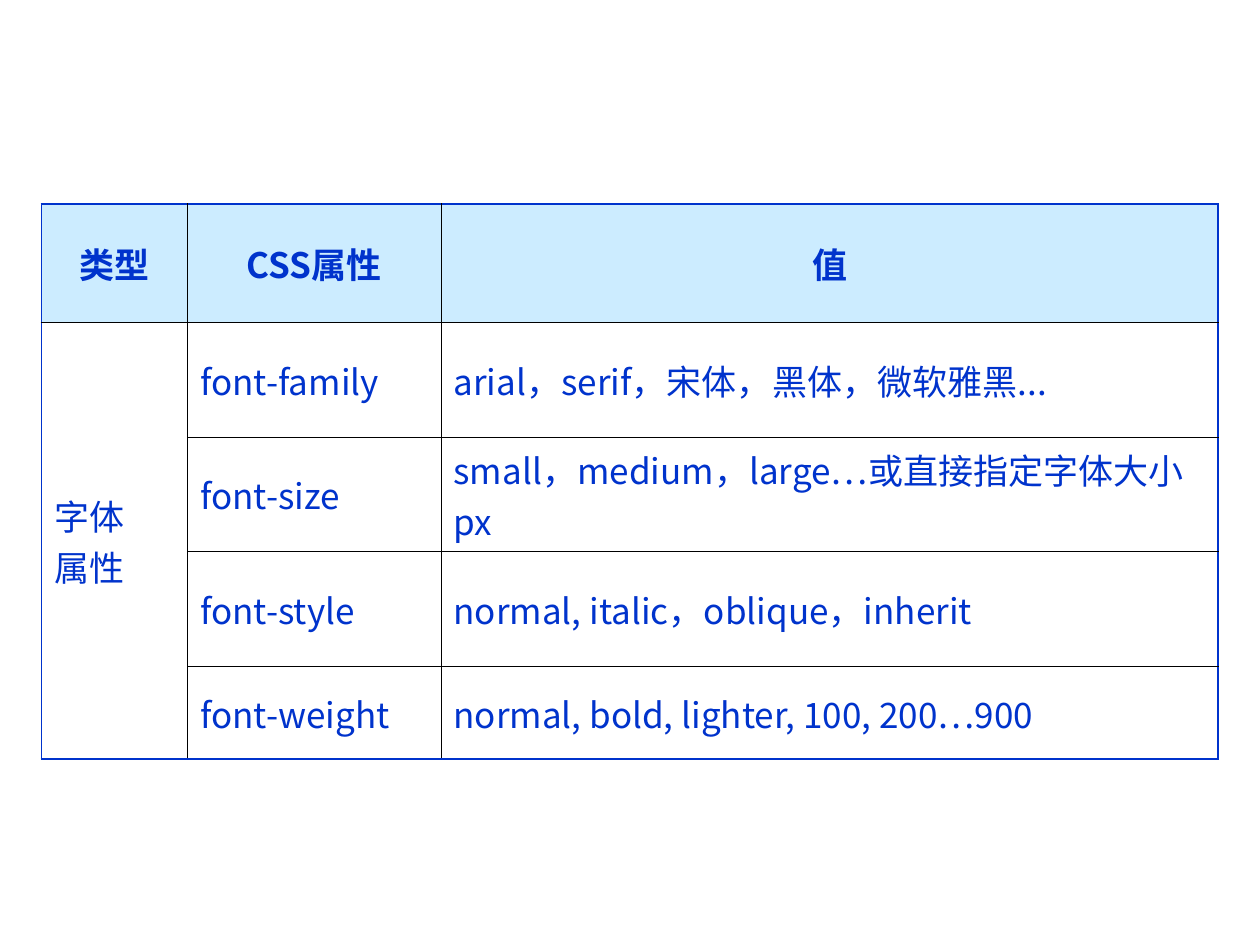
from lxml import etree
from pptx import Presentation
from pptx.dml.color import RGBColor
from pptx.enum.text import MSO_ANCHOR, PP_ALIGN
from pptx.oxml.ns import qn
from pptx.util import Inches, Pt

MIDDLE = MSO_ANCHOR.MIDDLE
CENTER, LEFT = PP_ALIGN.CENTER, PP_ALIGN.LEFT
FONT = "Noto Sans CJK SC"
BLUE, BLACK, PALE = "0033CC", "000000", "CCECFF"
COLS = [1.16, 2.01, 6.17]
ROWS = [0.94, 0.91, 0.9, 0.91, 0.74]
TEXT = [
    ["类型", "CSS属性", "值"],
    ["字体\n属性", "font-family", "arial，serif，宋体，黑体，微软雅黑..."],
    ["", "font-size", "small，medium，large…或直接指定字体大小px"],
    ["", "font-style", "normal, italic，oblique，inherit"],
    ["", "font-weight", "normal, bold, lighter, 100, 200…900"],
]


def color(code):
    """Turn a hex string into a colour."""
    return RGBColor.from_string(code)


def add_edge(cell, side, outer):
    """Draw one border of a cell, blue and thicker on the table's rim."""
    props = cell._tc.get_or_add_tcPr()
    width = Pt(1.08 if outer else 0.45)
    line = etree.SubElement(props, qn(f"a:ln{side}"), w=str(width))
    fill = etree.SubElement(line, qn("a:solidFill"))
    etree.SubElement(fill, qn("a:srgbClr"), val=BLUE if outer else BLACK)


def write(cell, text, head):
    """Put styled text in a cell."""
    cell.vertical_anchor = MIDDLE
    cell.text = text
    for para in cell.text_frame.paragraphs:
        para.alignment = CENTER if head else LEFT
        font = para.font
        font.name, font.size, font.bold = FONT, Pt(20), head
        font.color.rgb = color(BLUE)
        etree.SubElement(font._element, qn("a:ea"), typeface=FONT)


def style(cell, row, col):
    """Give a cell its borders and fill."""
    last = row == len(ROWS) - 1
    add_edge(cell, "L", col == 0)
    add_edge(cell, "R", col == len(COLS) - 1)
    add_edge(cell, "T", row == 0)
    add_edge(cell, "B", last or (col == 0 and row > 0))
    if row == 0:
        cell.fill.solid()
        cell.fill.fore_color.rgb = color(PALE)
    else:
        cell.fill.background()


def add_grid(slide):
    """Add the table of font properties."""
    frame = slide.shapes.add_table(
        len(ROWS), len(COLS), Inches(0.33), Inches(1.62),
        Inches(sum(COLS)), Inches(sum(ROWS)))
    table = frame.table
    for col, width in zip(table.columns, COLS):
        col.width = Inches(width)
    for row, height in zip(table.rows, ROWS):
        row.height = Inches(height)
    for r, line in enumerate(TEXT):
        for c, text in enumerate(line):
            cell = table.cell(r, c)
            write(cell, text, r == 0)
            style(cell, r, c)
    table.cell(1, 0).merge(table.cell(len(ROWS) - 1, 0))


def main():
    """Build and save the slide."""
    deck = Presentation()
    deck.slide_width, deck.slide_height = Inches(10), Inches(7.5)
    add_grid(deck.slides.add_slide(deck.slide_layouts[6]))
    deck.save("out.pptx")


if __name__ == "__main__":
    main()
